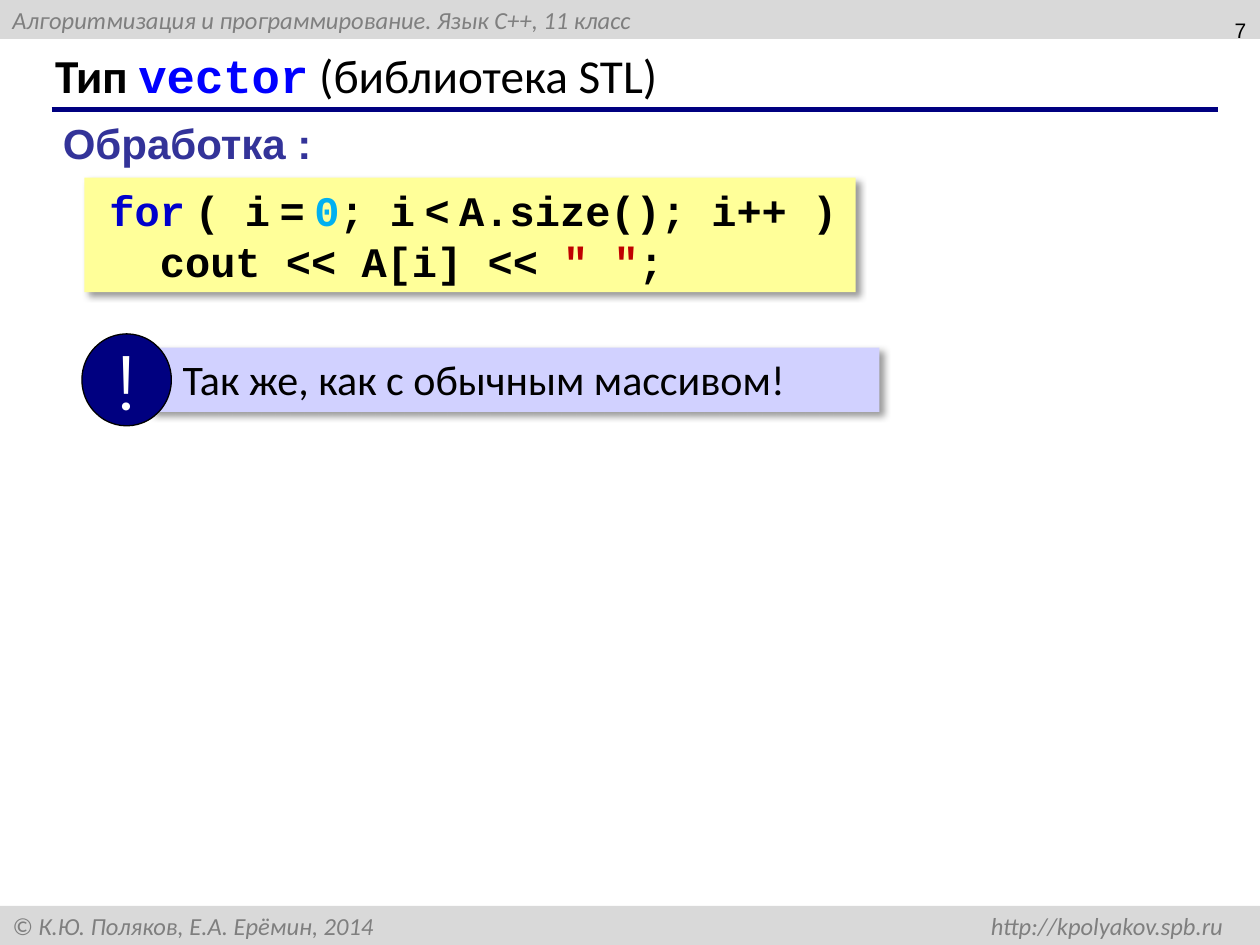
from dataclasses import dataclass

from lxml.etree import SubElement
from pptx import Presentation
from pptx.dml.color import RGBColor
from pptx.enum.shapes import MSO_CONNECTOR as Connector, MSO_SHAPE as Preset
from pptx.enum.text import MSO_ANCHOR as Anchor, PP_ALIGN as Align
from pptx.oxml.ns import qn
from pptx.util import Inches, Pt


@dataclass(frozen=True)
class Theme:
    """Colours, fonts and type sizes of the slide."""

    black: str = "000000"
    white: str = "FFFFFF"
    navy: str = "000080"
    band: str = "D9D9D9"
    band_text: str = "7F7F7F"
    type_name: str = "0000FF"
    heading: str = "333399"
    code_fill: str = "FFFF99"
    keyword: str = "0000CC"
    number: str = "00B0F0"
    literal: str = "C00000"
    note_fill: str = "D1D1FF"
    body_font: str = "Calibri"
    plain_font: str = "Arial"
    code_font: str = "Courier New"
    mark_font: str = "Montserrat"
    title_size: int = 27
    body_size: int = 24
    band_size: int = 14
    page_size: int = 12
    mark_size: int = 44


THEME = Theme()


def style(run, size, font, color, bold=False, italic=False):
    """Format one run."""
    run.font.size = Pt(size)
    run.font.name = font
    run.font.bold = bold
    run.font.italic = italic
    run.font.color.rgb = RGBColor.from_string(color)


def write(paragraph, pieces, size, align=Align.LEFT, italic=False):
    """Fill a paragraph with (text, font, color, bold) pieces."""
    paragraph.alignment = align
    for text, font, color, bold in pieces:
        run = paragraph.add_run()
        run.text = text
        style(run, size, font, color, bold, italic)


def add_text(slide, box, pieces, size, align=Align.LEFT, anchor=Anchor.MIDDLE, wrap=True):
    """Add a text box with one paragraph."""
    shape = slide.shapes.add_textbox(*map(Inches, box))
    shape.text_frame.word_wrap = wrap
    shape.text_frame.vertical_anchor = anchor
    write(shape.text_frame.paragraphs[0], pieces, size, align)
    return shape


def add_panel(slide, preset, box, fill, outline=None, anchor=Anchor.MIDDLE):
    """Add a filled shape with an optional thin outline."""
    shape = slide.shapes.add_shape(preset, *map(Inches, box))
    shape.shadow.inherit = False
    shape.fill.solid()
    shape.fill.fore_color.rgb = RGBColor.from_string(fill)
    if outline:
        shape.line.color.rgb = RGBColor.from_string(outline)
        shape.line.width = Pt(0.75)
    else:
        shape.line.fill.background()
    shape.text_frame.vertical_anchor = anchor
    return shape


def cast_shadow(shape):
    """Give a shape a soft shadow to the lower right."""
    effects = shape._element.spPr.find(qn("a:effectLst"))
    shadow = SubElement(effects, qn("a:outerShdw"), blurRad=str(Pt(4)), dist=str(Pt(3)),
                        dir=str(45 * 60000), algn="tl", rotWithShape="0")
    color = SubElement(shadow, qn("a:srgbClr"), val=THEME.black)
    SubElement(color, qn("a:alpha"), val="40000")


def indent(paragraph, left, first=0):
    """Set the left margin and first-line indent of a paragraph."""
    properties = paragraph._p.get_or_add_pPr()
    properties.set("marL", str(Inches(left)))
    properties.set("indent", str(Inches(first)))


def add_band(slide, top, text, tab=None):
    """Add a grey strip across the slide, with an optional right tab."""
    shape = add_panel(slide, Preset.RECTANGLE, (0, top, 10, 0.31), THEME.band)
    paragraph = shape.text_frame.paragraphs[0]
    write(paragraph, [(text, THEME.body_font, THEME.band_text, False)],
          THEME.band_size, italic=True)
    if tab:
        stops = SubElement(paragraph._p.get_or_add_pPr(), qn("a:tabLst"))
        SubElement(stops, qn("a:tab"), pos=str(Inches(tab)), algn="r")


def add_rule(slide, left, right, top):
    """Add the thick line under the title."""
    line = slide.shapes.add_connector(
        Connector.STRAIGHT, Inches(left), Inches(top), Inches(right), Inches(top))
    line.line.color.rgb = RGBColor.from_string(THEME.navy)
    line.line.width = Pt(3)
    SubElement(line._element.spPr, qn("a:effectLst"))


def add_code(slide, box, lines):
    """Add a code panel from (text, color) lines, where ~ is a narrow space."""
    shape = add_panel(slide, Preset.RECTANGLE, box, THEME.code_fill)
    cast_shadow(shape)
    frame = shape.text_frame
    frame.word_wrap = True
    for index, line in enumerate(lines):
        paragraph = frame.add_paragraph() if index else frame.paragraphs[0]
        indent(paragraph, 0.2, -0.1)
        pieces = []
        for text, color in line:
            for position, part in enumerate(text.split("~")):
                if position:
                    pieces.append((" ", THEME.body_font, color, True))
                if part:
                    pieces.append((part, THEME.code_font, color, True))
        write(paragraph, pieces, THEME.body_size, Align.JUSTIFY)


def add_note(slide, text):
    """Add the remark bar with its round exclamation mark."""
    bar = add_panel(slide, Preset.RECTANGLE, (1.2, 2.76, 5.78, 0.51),
                    THEME.note_fill, anchor=Anchor.TOP)
    cast_shadow(bar)
    paragraph = bar.text_frame.paragraphs[0]
    indent(paragraph, 0.15)
    write(paragraph, [(text, THEME.body_font, THEME.black, False)], THEME.body_size)
    badge = add_panel(slide, Preset.OVAL, (0.65, 2.65, 0.71, 0.73), THEME.navy, THEME.black)
    badge.text_frame.word_wrap = False
    write(badge.text_frame.paragraphs[0], [("!", THEME.mark_font, THEME.white, False)],
          THEME.mark_size, Align.CENTER)


def main():
    """Build and save the slide."""
    presentation = Presentation()
    presentation.slide_width, presentation.slide_height = Inches(10), Inches(7.5)
    slide = presentation.slides.add_slide(presentation.slide_layouts[6])
    add_band(slide, 0, "Алгоритмизация и программирование. Язык C++, 11 класс")
    add_band(slide, 7.19, "© К.Ю. Поляков, Е.А. Ерёмин, 2014\thttp://kpolyakov.spb.ru", 9.61)
    add_rule(slide, 0.41, 9.67, 0.87)
    add_text(slide, (0.34, 0.33, 9.16, 0.52), [
        ("Тип ", THEME.body_font, THEME.black, True),
        ("vector", THEME.code_font, THEME.type_name, True),
        (" (библиотека STL)", THEME.body_font, THEME.black, False),
    ], THEME.title_size)
    add_text(slide, (7.66, -0.02, 2.33, 0.52),
             [("7", THEME.plain_font, THEME.black, False)], THEME.page_size, Align.RIGHT)
    add_note(slide, "Так же, как с обычным массивом!")
    add_text(slide, (0.4, 0.88, 2.19, 0.5),
             [("Обработка :", THEME.plain_font, THEME.heading, True)],
             THEME.body_size, anchor=Anchor.TOP, wrap=False)
    add_code(slide, (0.67, 1.41, 6.12, 0.91), [
        [("for~", THEME.keyword), ("( i~=~", THEME.black), ("0", THEME.number),
         ("; i~<~A.size(); i++ )", THEME.black)],
        [("  cout << A[i] << ", THEME.black), ('" "', THEME.literal), (";", THEME.black)],
    ])
    presentation.save("out.pptx")


main()
